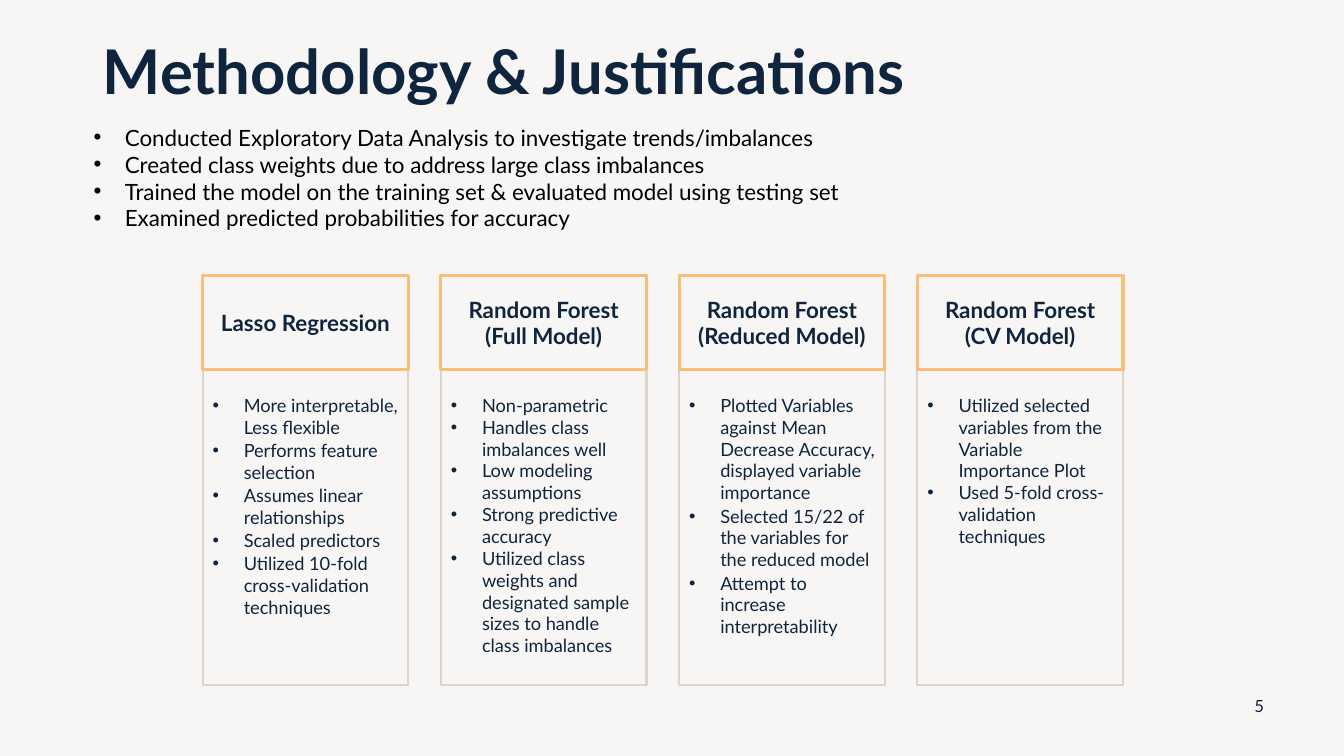
import pptx
import pptx.util
import pptx.dml.color
import pptx.enum.shapes
import pptx.enum.text
import pptx.oxml.ns
from lxml import etree

Inches, Pt = pptx.util.Inches, pptx.util.Pt
RGBColor = pptx.dml.color.RGBColor
PP_ALIGN = pptx.enum.text.PP_ALIGN
MSO_ANCHOR = pptx.enum.text.MSO_ANCHOR
RECTANGLE = pptx.enum.shapes.MSO_SHAPE.RECTANGLE

NAVY = RGBColor(0x0F, 0x25, 0x3E)
BLACK = RGBColor(0, 0, 0)
STONE = RGBColor(0xDC, 0xD3, 0xCC)
ORANGE = RGBColor(0xFA, 0xBE, 0x79)
PAPER = RGBColor(0xF8, 0xF6, 0xF5)

# Column grid
COLUMN_LEFT, COLUMN_PITCH, COLUMN_WIDTH = 2.01, 2.363, 2.04
HEADER_TOP, HEADER_HEIGHT = 2.73, 0.94
DETAIL_TOP, DETAIL_HEIGHT = HEADER_TOP + HEADER_HEIGHT, 3.13
BULLET_INDENT = Inches(0.31)

INTRO = [
    "Conducted Exploratory Data Analysis to investigate trends/imbalances",
    "Created class weights due to address large class imbalances",
    "Trained the model on the training set & evaluated model using testing set",
    "Examined predicted probabilities for accuracy",
]
# Heading, space after each bullet, bullets
MODELS = [
    ("Lasso Regression", 1, [
        "More interpretable, Less flexible",
        "Performs feature selection",
        "Assumes linear relationships",
        "Scaled predictors",
        "Utilized 10-fold cross-validation techniques"]),
    ("Random Forest (Full Model)", 0, [
        "Non-parametric",
        "Handles class imbalances well",
        "Low modeling assumptions",
        "Strong predictive accuracy",
        "Utilized class weights and designated sample sizes to handle class imbalances"]),
    ("Random Forest (Reduced Model)", 1, [
        "Plotted Variables against Mean Decrease Accuracy, displayed variable importance",
        "Selected 15/22 of the variables for the reduced model",
        "Attempt to increase interpretability"]),
    ("Random Forest (CV Model)", 0, [
        "Utilized selected variables from the Variable Importance Plot",
        "Used 5-fold cross-validation techniques"]),
]


def write(frame, lines, size, color, bold=False, align=PP_ALIGN.LEFT,
          bulleted=False, after=0):
    frame.word_wrap = True
    for number, line in enumerate(lines):
        paragraph = frame.add_paragraph() if number else frame.paragraphs[0]
        paragraph.alignment = align
        paragraph.space_after = Pt(after)
        if bulleted:
            properties = paragraph._p.get_or_add_pPr()
            properties.set("marL", str(BULLET_INDENT))
            properties.set("indent", str(-BULLET_INDENT))
            etree.SubElement(properties, pptx.oxml.ns.qn("a:buFont"), typeface="Arial")
            etree.SubElement(properties, pptx.oxml.ns.qn("a:buChar"), char="•")
        run = paragraph.add_run()
        run.text = line
        run.font.name = "Lato"
        run.font.size = Pt(size)
        run.font.bold = bold
        run.font.color.rgb = color


def add_outline(left, top, height, color, weight):
    box = slide.shapes.add_shape(RECTANGLE, Inches(left), Inches(top),
                                 Inches(COLUMN_WIDTH), Inches(height))
    box.shadow.inherit = False
    box.fill.background()
    box.line.color.rgb = color
    box.line.width = Pt(weight)
    return box


presentation = pptx.Presentation()
presentation.slide_width = Inches(13.33)
presentation.slide_height = Inches(7.5)
slide = presentation.slides.add_slide(presentation.slide_layouts[5])
slide.background.fill.solid()
slide.background.fill.fore_color.rgb = PAPER

# Title
title = slide.shapes.title
title.left, title.top = Inches(0.92), Inches(0.3)
title.width, title.height = Inches(11.5), Inches(0.87)
title.text_frame.auto_size = pptx.enum.text.MSO_AUTO_SIZE.NONE
title.text_frame.vertical_anchor = MSO_ANCHOR.MIDDLE
write(title.text_frame, ["Methodology & Justifications"], 44, NAVY, bold=True)
title.text_frame.paragraphs[0].line_spacing = 0.9

# Workflow summary
intro = slide.shapes.add_textbox(Inches(0.83), Inches(1.18), Inches(11.59), Inches(1.18))
write(intro.text_frame, INTRO, 16, BLACK, bulleted=True)

# One column per model: heading, details, highlight frame
for column, (heading, after, points) in enumerate(MODELS):
    left = COLUMN_LEFT + column * COLUMN_PITCH

    header = add_outline(left, HEADER_TOP, HEADER_HEIGHT, STONE, 1.5)
    header.text_frame.vertical_anchor = MSO_ANCHOR.MIDDLE
    write(header.text_frame, [heading], 16, NAVY, bold=True, align=PP_ALIGN.CENTER)

    details = add_outline(left, DETAIL_TOP, DETAIL_HEIGHT, STONE, 1.5)
    details.text_frame.vertical_anchor = MSO_ANCHOR.TOP
    details.text_frame.margin_top = Inches(0.24)
    write(details.text_frame, points, 13, NAVY, bulleted=True, after=after)

    add_outline(left, HEADER_TOP, HEADER_HEIGHT, ORANGE, 2.25)

# Page number
page = slide.shapes.add_textbox(Inches(12.24), Inches(6.8), Inches(0.5), Inches(0.4))
page.text_frame.vertical_anchor = MSO_ANCHOR.MIDDLE
write(page.text_frame, ["5"], 12, NAVY, align=PP_ALIGN.CENTER)

presentation.save("out.pptx")
